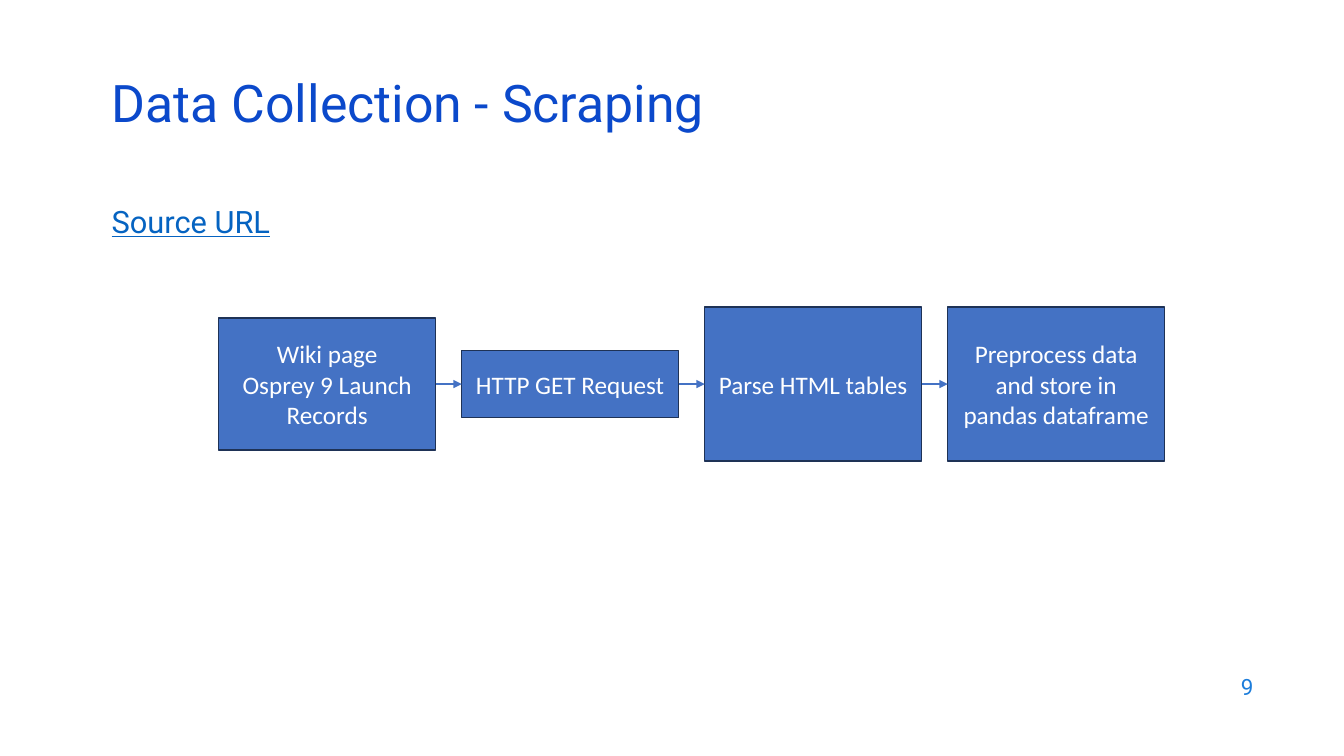
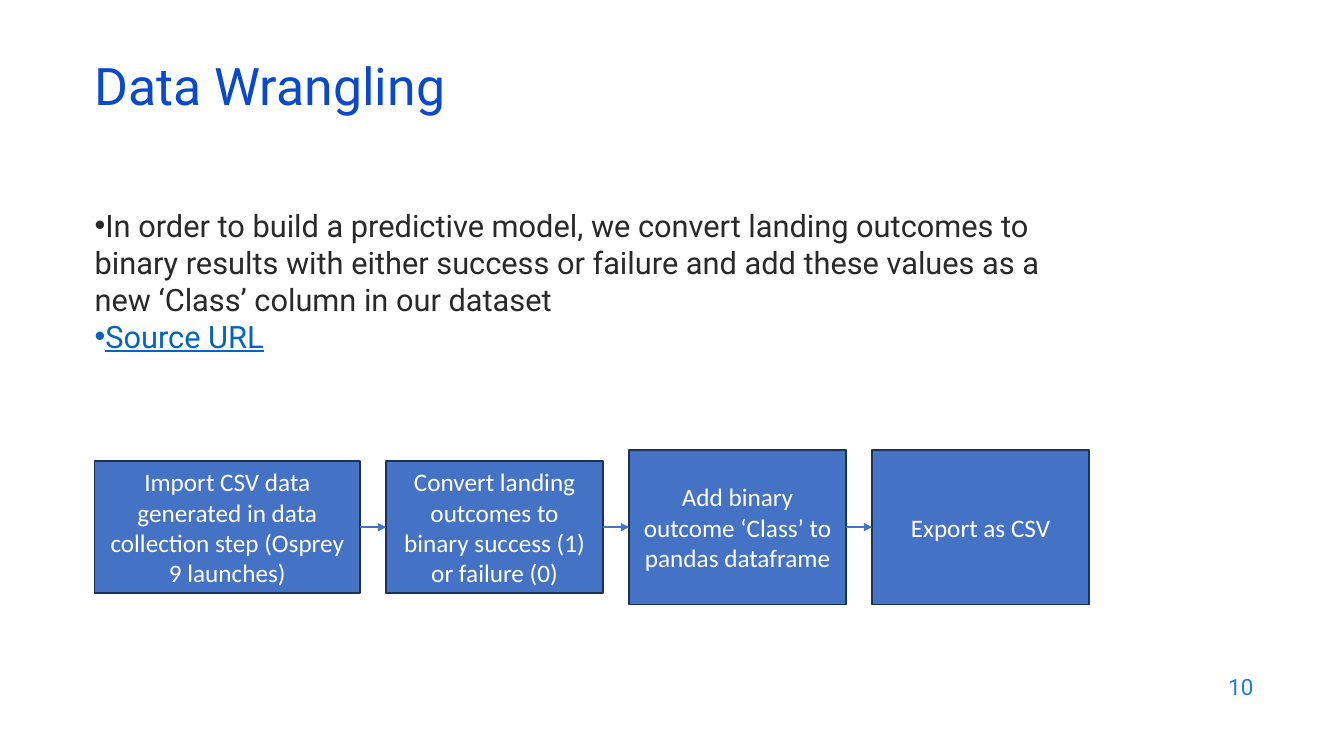
from dataclasses import dataclass

from lxml.etree import SubElement
from pptx import Presentation
from pptx.dml.color import RGBColor
from pptx.enum.shapes import MSO_CONNECTOR as Connector, MSO_SHAPE as Shape
from pptx.enum.text import MSO_ANCHOR as Anchor, PP_ALIGN as Align
from pptx.oxml.ns import qn
from pptx.util import Inches, Pt


@dataclass(frozen=True)
class Theme:
    title: str = "0B49CB"
    body: str = "292929"
    link: str = "0563C1"
    number: str = "1C7DDB"
    box: str = "4472C4"
    outline: str = "1E3256"
    box_text: str = "FFFFFF"
    text_font: str = "Roboto"
    box_font: str = "Calibri"
    title_size: float = 37
    body_size: float = 22
    box_size: float = 18
    number_size: float = 16


THEME = Theme()
SLIDE_SIZE = (13.33, 7.5)
NUMBER_AREA = (9.53, 6.59, 3, 0.44)
TITLE_SIZE = (11.5, 0.6)
STEP_WIDTH, STEP_GAP = 2.15, 0.26
LOW, MEDIUM, HIGH = 0.67, 1.31, 1.53  # step heights

# Content: body lines are (text, is link), steps are (text, width, height)
SLIDES = [
    {
        "number": "9",
        "title": "Data Collection - Scraping",
        "title_at": (1.01, 0.76),
        "body_area": (1.01, 1.96, 4.3, 4.17),
        "body": [("Source URL", True)],
        "bullets": False,
        "flow_start": 2.17,
        "flow_middle": 3.81,
        "steps": [
            ("Wiki page\nOsprey 9 Launch Records", STEP_WIDTH, MEDIUM),
            ("HTTP GET Request", STEP_WIDTH, LOW),
            ("Parse HTML tables", STEP_WIDTH, HIGH),
            ("Preprocess data and store in pandas dataframe", STEP_WIDTH, HIGH),
        ],
    },
    {
        "number": "10",
        "title": "Data Wrangling",
        "title_at": (0.84, 0.59),
        "body_area": (0.84, 2, 9.82, 4.76),
        "body": [
            ("In order to build a predictive model, we convert landing outcomes to "
             "binary results with either success or failure and add these values "
             "as a new ‘Class’ column in our dataset", False),
            ("Source URL", True),
        ],
        "bullets": True,
        "flow_start": 0.94,
        "flow_middle": 5.23,
        "steps": [
            ("Import CSV data generated in data collection step (Osprey 9 launches)",
             2.63, MEDIUM),
            ("Convert landing outcomes to binary success (1) or failure (0)",
             STEP_WIDTH, MEDIUM),
            ("Add binary outcome ‘Class’ to pandas dataframe", STEP_WIDTH, HIGH),
            ("Export as CSV", STEP_WIDTH, HIGH),
        ],
    },
]


def color(value):
    return RGBColor.from_string(value)


def format_text(paragraph, font_name, size, value, align=Align.LEFT):
    paragraph.alignment = align
    for run in paragraph.runs:
        run.font.name = font_name
        run.font.size = Pt(size)
        run.font.color.rgb = color(value)


def add_text(slide, area, text, size, value, align=Align.LEFT, anchor=Anchor.MIDDLE):
    frame = slide.shapes.add_textbox(*map(Inches, area)).text_frame
    frame.word_wrap = True
    frame.vertical_anchor = anchor
    frame.text = text
    for paragraph in frame.paragraphs:
        format_text(paragraph, THEME.text_font, size, value, align)
    return frame


def add_bullet(paragraph):
    properties = paragraph._p.get_or_add_pPr()
    properties.set("marL", "0")
    properties.set("indent", "0")
    SubElement(properties, qn("a:buFont")).set("typeface", "Arial")
    SubElement(properties, qn("a:buChar")).set("char", "•")


def add_body(slide, content):
    lines = content["body"]
    frame = add_text(slide, content["body_area"], "\n".join(text for text, _ in lines),
                     THEME.body_size, THEME.body, anchor=Anchor.TOP)
    for paragraph, (_, is_link) in zip(frame.paragraphs, lines):
        if content["bullets"]:
            add_bullet(paragraph)
        if is_link:
            font = paragraph.runs[0].font
            font.color.rgb = color(THEME.link)
            font.underline = True


def add_step(slide, left, middle, text, width, height):
    area = (left, middle - height / 2, width, height)
    step = slide.shapes.add_shape(Shape.RECTANGLE, *map(Inches, area))
    step.shadow.inherit = False
    step.fill.solid()
    step.fill.fore_color.rgb = color(THEME.box)
    step.line.color.rgb = color(THEME.outline)
    step.line.width = Pt(1)
    frame = step.text_frame
    frame.word_wrap = True
    frame.vertical_anchor = Anchor.MIDDLE
    frame.text = text
    for paragraph in frame.paragraphs:
        format_text(paragraph, THEME.box_font, THEME.box_size, THEME.box_text,
                    Align.CENTER)
    return step


def add_arrow(slide, source, target):
    arrow = slide.shapes.add_connector(Connector.STRAIGHT, 0, 0, 0, 0)
    arrow.begin_connect(source, 3)
    arrow.end_connect(target, 1)
    arrow.line.color.rgb = color(THEME.box)
    arrow.line.width = Pt(1.75)
    SubElement(arrow.line._get_or_add_ln(), qn("a:tailEnd")).set("type", "triangle")
    SubElement(arrow._element.spPr, qn("a:effectLst"))


def add_flow(slide, content):
    left = content["flow_start"]
    previous = None
    for text, width, height in content["steps"]:
        step = add_step(slide, left, content["flow_middle"], text, width, height)
        if previous is not None:
            add_arrow(slide, previous, step)
        previous = step
        left += width + STEP_GAP


def add_slide(presentation, content):
    slide = presentation.slides.add_slide(presentation.slide_layouts[6])
    # Slide number and title
    add_text(slide, NUMBER_AREA, content["number"], THEME.number_size, THEME.number,
             Align.RIGHT)
    title = add_text(slide, content["title_at"] + TITLE_SIZE, content["title"],
                     THEME.title_size, THEME.title)
    title.paragraphs[0].line_spacing = 0.85
    # Body text and process flow
    add_body(slide, content)
    add_flow(slide, content)


def main():
    presentation = Presentation()
    presentation.slide_width, presentation.slide_height = map(Inches, SLIDE_SIZE)
    for content in SLIDES:
        add_slide(presentation, content)
    presentation.save("out.pptx")


if __name__ == "__main__":
    main()
